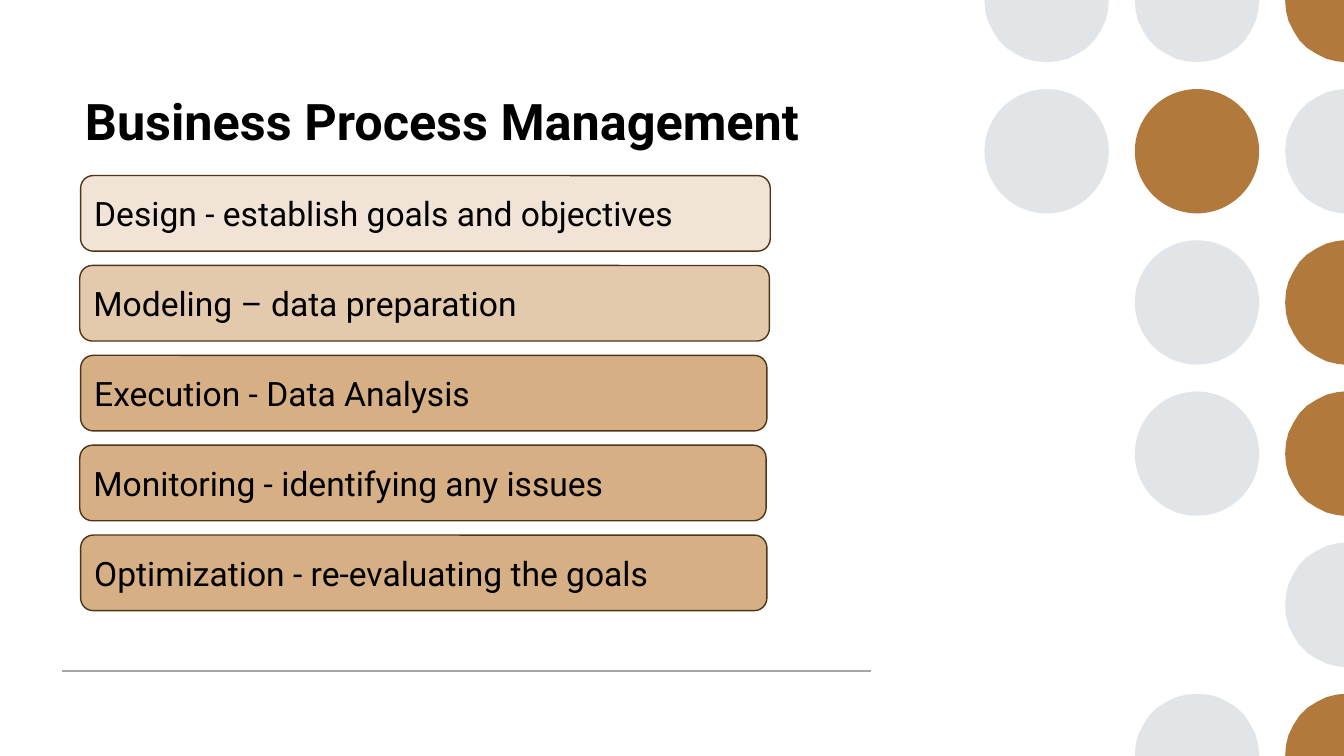
from math import cos, pi, sin

from lxml import etree
from pptx import Presentation
from pptx.dml.color import RGBColor
from pptx.enum.shapes import MSO_CONNECTOR, MSO_SHAPE
from pptx.enum.text import MSO_ANCHOR, MSO_AUTO_SIZE, PP_ALIGN
from pptx.oxml.ns import qn
from pptx.util import Pt

LINE = MSO_CONNECTOR.STRAIGHT
OVAL = MSO_SHAPE.OVAL
ROUND = MSO_SHAPE.ROUNDED_RECTANGLE
TOP = MSO_ANCHOR.TOP
MIDDLE = MSO_ANCHOR.MIDDLE
NO_FIT = MSO_AUTO_SIZE.NONE
LEFT = PP_ALIGN.LEFT

PX = 7620
WIDE, HIGH = 1600, 900
RADIUS = 74

BLACK = RGBColor(0, 0, 0)
GRAY = RGBColor(0xE2, 0xE5, 0xE8)
BROWN = RGBColor(0xB1, 0x79, 0x3B)
EDGE = RGBColor(0x4E, 0x35, 0x1A)
RULE = RGBColor(0xA6, 0xA6, 0xA6)
CREAM = RGBColor(0xF1, 0xE4, 0xD6)
SAND = RGBColor(0xE4, 0xCA, 0xAD)
TAN = RGBColor(0xD6, 0xAF, 0x84)

DOTS = [
    (GRAY, GRAY, BROWN),
    (GRAY, BROWN, GRAY),
    (None, GRAY, BROWN),
    (None, GRAY, BROWN),
    (None, None, GRAY),
    (None, GRAY, BROWN),
]

STEPS = [
    ("Design - establish goals and objectives", CREAM, 821),
    ("Modeling – data preparation", SAND, 821),
    ("Execution - Data Analysis", TAN, 817),
    ("Monitoring - identifying any issues", TAN, 817),
    ("Optimization - re-evaluating the goals", TAN, 817),
]


def px(*values):
    return [value * PX for value in values]


def write(shape, text, size, bold=False, anchor=MIDDLE, inset=12):
    frame = shape.text_frame
    frame.word_wrap = True
    frame.auto_size = NO_FIT
    frame.vertical_anchor = anchor
    frame.margin_left, frame.margin_right = px(inset, 12)
    frame.margin_top = frame.margin_bottom = 6 * PX
    para = frame.paragraphs[0]
    para.alignment = LEFT
    para.line_spacing = 1.0
    run = para.add_run()
    run.text = text
    run.font.name = "Roboto"
    run.font.size = Pt(size)
    run.font.bold = bold
    run.font.color.rgb = BLACK


def paint(shape, fill, edge=None):
    shape.shadow.inherit = False
    shape.fill.solid()
    shape.fill.fore_color.rgb = fill
    if edge is None:
        shape.line.fill.background()
    else:
        shape.line.color.rgb = edge
        shape.line.width = Pt(1)


def cut_dot(shapes, x, y):
    points = []
    for step in range(37):
        turn = step * pi / 18
        across = round(x + RADIUS * cos(turn), 2)
        down = round(y + RADIUS * sin(turn), 2)
        if across <= max(x, WIDE) and 0 <= down <= HIGH:
            points.append((min(across, WIDE), down))
    points.append((min(x, WIDE), y))
    path = shapes.build_freeform(*points[0], scale=PX)
    path.add_line_segments(points[1:], close=True)
    return path.convert_to_shape()


def add_dot(shapes, x, y, color):
    whole = x + RADIUS <= WIDE and RADIUS <= y <= HIGH - RADIUS
    if whole:
        box = px(x - RADIUS, y - RADIUS, 2 * RADIUS, 2 * RADIUS)
        dot = shapes.add_shape(OVAL, *box)
    else:
        dot = cut_dot(shapes, x, y)
    paint(dot, color)


def add_rule(shapes, x, y, end):
    rule = shapes.add_connector(LINE, *px(x, y, end, y))
    rule.line.color.rgb = RULE
    rule.line.width = Pt(1)
    etree.SubElement(rule._element.spPr, qn("a:effectLst"))


def add_step(shapes, x, y, width, text, fill):
    bar = shapes.add_shape(ROUND, *px(x, y, width, 90))
    paint(bar, fill, EDGE)
    write(bar, text, size=24)


def main():
    deck = Presentation()
    deck.slide_width, deck.slide_height = px(WIDE, HIGH)
    slide = deck.slides.add_slide(deck.slide_layouts[5])
    shapes = slide.shapes

    for row, colors in enumerate(DOTS):
        for col, color in enumerate(colors):
            if color is not None:
                add_dot(shapes, 1246 + 179 * col, 180 * row, color)
    add_rule(shapes, 74, 799, 1037)

    title = shapes.title
    title.left, title.top, title.width, title.height = px(74, 101, 962, 167)
    write(title, "Business Process Management", size=36, bold=True,
          anchor=TOP, inset=27)

    for row, (text, fill, width) in enumerate(STEPS):
        add_step(shapes, 96 - row % 2, 209 + 107 * row, width, text, fill)

    deck.save("out.pptx")


if __name__ == "__main__":
    main()
